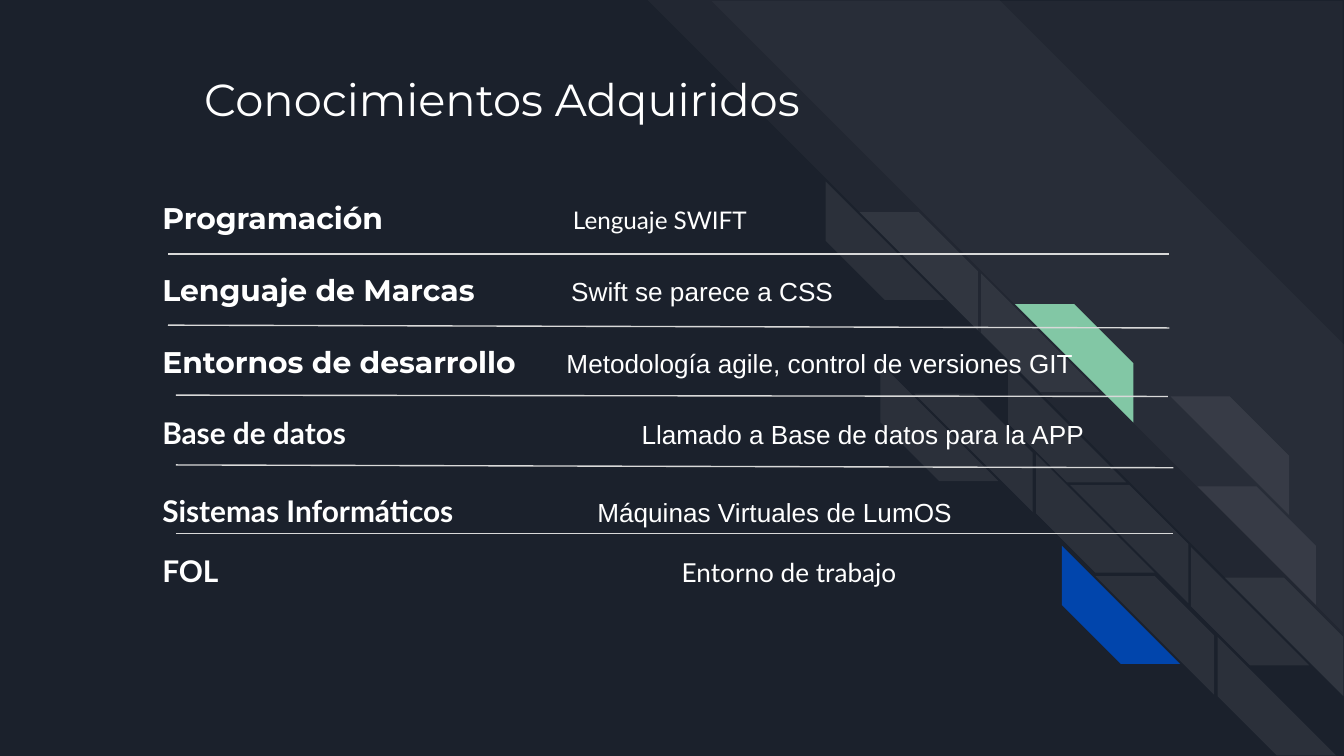
"""Build the slide that lists the knowledge acquired in each subject."""
from lxml.etree import SubElement
from pptx import Presentation
from pptx.dml.color import RGBColor
from pptx.enum.shapes import MSO_CONNECTOR, MSO_SHAPE
from pptx.enum.text import MSO_ANCHOR, MSO_AUTO_SIZE, PP_ALIGN
from pptx.oxml.ns import qn
from pptx.util import Pt

COLORS = {
    "night": "1B212C",
    "white": "FFFFFF",
    "rule": "D9D9D9",
    "mint": "82C7A5",
    "blue": "0145AC",
}
BRICK = 63.4
PAIR_SHIFT = (18.2, 16.4)
BRICK_PAIRS = [
    (442.3, 97.2, "white", "white"),
    (471.6, 194.4, "white", "white"),
    (525.6, 146.6, "white", "mint"),
    (540, 195.1, "white", None),
    (609, 196, None, "white"),
    (623.3, 244.2, None, "white"),
    (555.1, 243.4, "white", "white"),
    (568.8, 292.3, "blue", "white"),
    (637.9, 293, "white", "white"),
    (652.3, 341.3, "white", None),
]
SUBJECTS = [
    ("Programación", "Montserrat", 99.8, 220, "Lenguaje SWIFT", "Lato", 13, 1),
    ("Lenguaje de Marcas", "Montserrat", 138.2, 219, "Swift se parece a CSS", "Arial", 14, 1),
    ("Entornos de desarrollo", "Montserrat", 177.1, 216.5,
     "Metodología agile, control de versiones GIT", "Arial", 14, 1),
    ("Base de datos", "Lato", 212, 256.7, "Llamado a Base de datos para la APP", "Arial", 14, 1.15),
    ("Sistemas Informáticos", "Lato", 253.8, 233, "Máquinas Virtuales de LumOS", "Arial", 14, 1.15),
    ("FOL", "Lato", 285.8, 278.2, "Entorno de trabajo", "Lato", 14, 1.15),
]
RULES = [
    (90, 136.1, 626.4, 136.1),
    (90, 174.2, 626.4, 175.7),
    (94.3, 211.7, 625.7, 212.4),
    (94.3, 249.1, 628.6, 250.6),
    (94.3, 285.8, 628.6, 285.8),
]


class SlideBuilder:
    """Hold the colours and the current slide, and draw its elements."""

    def __init__(self, page, colors):
        self.page = page
        self.colors = colors

    def color(self, name):
        return RGBColor.from_string(self.colors[name])

    def background(self, name):
        fill = self.page.background.fill
        fill.solid()
        fill.fore_color.rgb = self.color(name)

    def stripe(self, left, top, size, name, ratio=0.5, rotation=0, flip=False, opacity=7):
        shape = self.page.shapes.add_shape(
            MSO_SHAPE.DIAGONAL_STRIPE, Pt(left), Pt(top), Pt(size), Pt(size))
        shape.adjustments[0] = ratio
        shape.rotation = rotation
        shape.shadow.inherit = False
        shape.line.fill.background()
        shape.fill.solid()
        shape.fill.fore_color.rgb = self.color(name)
        if flip:
            shape._element.spPr.find(qn("a:xfrm")).set("flipH", "1")
        if name == "white":
            tint = shape._element.spPr.find(qn("a:solidFill"))[0]
            SubElement(tint, qn("a:alpha")).set("val", str(opacity * 1000))

    def frame(self, box):
        frame = box.text_frame
        frame.word_wrap = True
        frame.auto_size = MSO_AUTO_SIZE.NONE
        frame.vertical_anchor = MSO_ANCHOR.TOP
        frame.margin_left = frame.margin_right = Pt(7.2)
        frame.margin_top = frame.margin_bottom = Pt(7.2)
        return frame

    def format(self, span, font, size, bold=False):
        span.font.name = font
        span.font.size = Pt(size)
        span.font.bold = bold
        span.font.color.rgb = self.color("white")

    def title(self, text, left, top, width, height):
        box = self.page.shapes.title
        box.left, box.top, box.width, box.height = map(Pt, (left, top, width, height))
        frame = self.frame(box)
        frame.text = text
        para = frame.paragraphs[0]
        para.alignment = PP_ALIGN.LEFT
        self.format(para.runs[0], "Montserrat", 24)
        self.page.shapes._spTree.append(box._element)

    def subject(self, name, name_font, top, tab, detail, font, size, spacing):
        box = self.page.shapes.add_textbox(Pt(79.9), Pt(top), Pt(570), Pt(25))
        para = self.frame(box).paragraphs[0]
        tabs = SubElement(para._p.get_or_add_pPr(), qn("a:tabLst"))
        SubElement(tabs, qn("a:tab"), pos=str(int(Pt(tab))), algn="l")
        para.line_spacing = spacing
        para.text = name + "\t"
        self.format(para.runs[0], name_font, 16, True)
        span = para.add_run()
        span.text = detail
        self.format(span, font, size)

    def rule(self, *ends):
        line = self.page.shapes.add_connector(MSO_CONNECTOR.STRAIGHT, *map(Pt, ends))
        line.line.color.rgb = self.color("rule")
        line.line.width = Pt(0.75)
        SubElement(line._element.spPr, qn("a:effectLst"))


def main():
    deck = Presentation()
    deck.slide_width, deck.slide_height = Pt(720), Pt(405)
    builder = SlideBuilder(deck.slides.add_slide(deck.slide_layouts[5]), COLORS)
    builder.background("night")
    builder.stripe(347, 0, 373, "white", ratio=0.495, rotation=90, opacity=3)
    builder.stripe(381.2, 0.5, 338, "white", ratio=0, rotation=90, opacity=3)
    for left, top, upright, slanted in BRICK_PAIRS:
        if upright:
            builder.stripe(left, top, BRICK, upright, rotation=270)
        if slanted:
            builder.stripe(left + PAIR_SHIFT[0], top + PAIR_SHIFT[1], BRICK, slanted, flip=True)
    builder.title("Conocimientos Adquiridos", 102.2, 31, 554.4, 72)
    for subject in SUBJECTS:
        builder.subject(*subject)
    for ends in RULES:
        builder.rule(*ends)
    deck.save("out.pptx")


if __name__ == "__main__":
    main()
